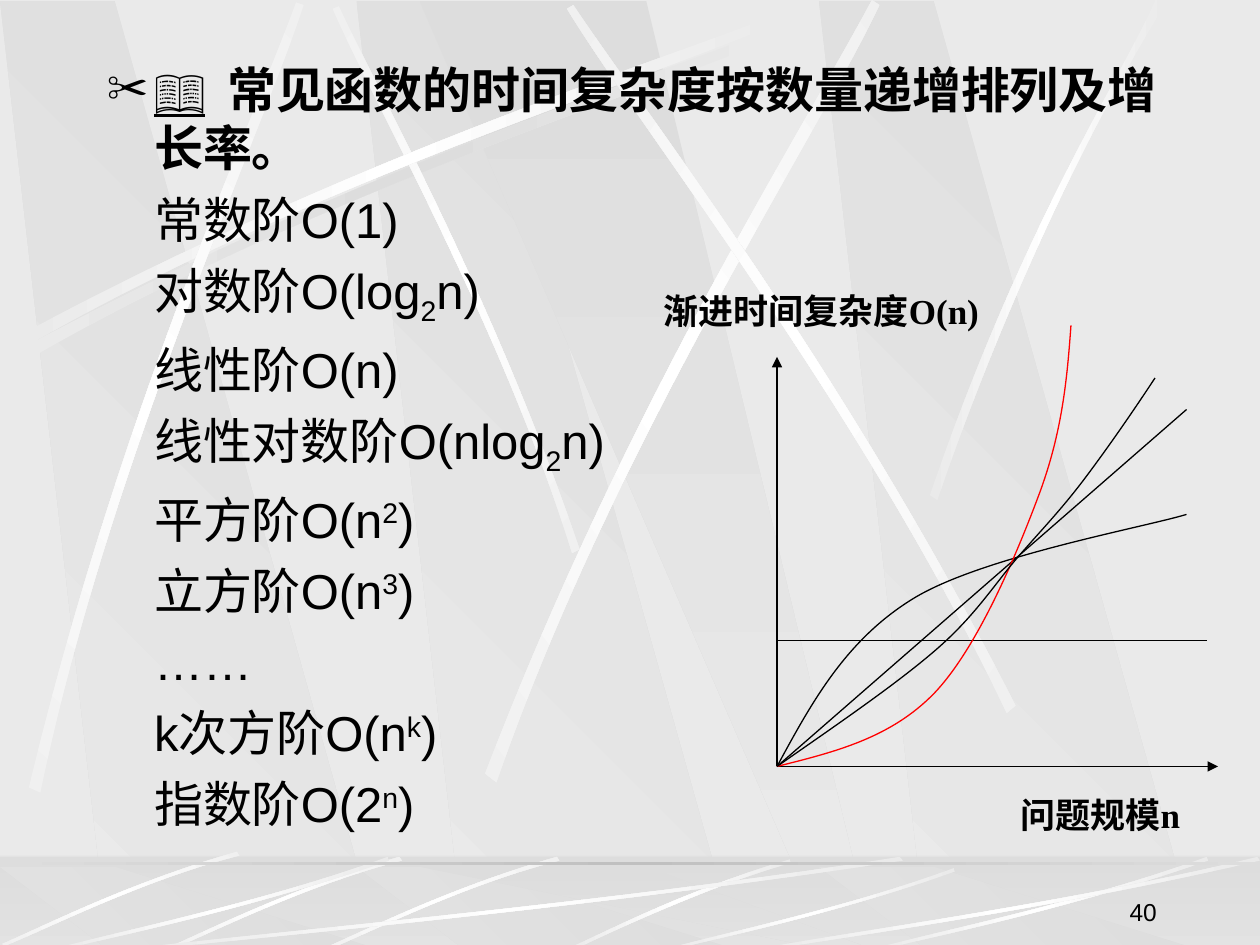
"""Build a slide on the growth rates of common time complexities."""
from math import cos, radians, sin

from lxml import etree
from pptx import Presentation, util as u
from pptx.dml.color import RGBColor
from pptx.enum import shapes, text
from pptx.oxml import ns

rgb = RGBColor.from_string
prs = Presentation()
prs.slide_width, prs.slide_height = u.Inches(10), u.Inches(7.5)
col, row = prs.slide_width / 100, prs.slide_height / 75
slide = prs.slides.add_slide(prs.slide_layouts[6])
slide.background.fill.solid()
slide.background.fill.fore_color.rgb = rgb("EAEAEA")


def outline(pts, kinds, rot=0):
    """Draw lines (L) and cubic curves (C) through points, closed by Z, in a turned frame."""
    c, n = cos(radians(rot)), sin(radians(rot))
    pts = [(x * col, y * row) for x, y in pts]
    pts = [(int(x * c + y * n), int(y * c - x * n)) for x, y in pts]
    fb = slide.shapes.build_freeform(*pts[0])
    fb.add_line_segments(pts[1:], close=kinds.endswith("Z"))
    s = fb.convert_to_shape()
    s.shadow.inherit = False
    steps = iter(list(s._element.iter(ns.qn("a:lnTo"))))
    for kind in kinds.rstrip("Z"):
        step = next(steps)
        if kind == "C":
            step.addprevious(cubic := etree.Element(ns.qn("a:cubicBezTo")))
            for ln in (step, next(steps), next(steps)):
                cubic.append(ln[0])
                ln.getparent().remove(ln)
    mx, my = s.left + s.width / 2, s.top + s.height / 2
    s.left = int(mx * c - my * n - s.width / 2)
    s.top = int(mx * n + my * c - s.height / 2)
    s.rotation = rot
    return s


def shade(s, colors, angle):
    """Fill a borderless shape with evenly spaced gradient colours."""
    s.shadow.inherit = False
    s.line.fill.background()
    s.fill.gradient()
    s.fill.gradient_angle = -angle % 360
    stops = s._element.spPr.find(ns.qn("a:gradFill")).find(ns.qn("a:gsLst"))
    for gs in list(stops):
        stops.remove(gs)
    for i, c in enumerate(colors):
        gs = etree.SubElement(stops, ns.qn("a:gs"), pos=str(i * 100000 // (len(colors) - 1)))
        etree.SubElement(gs, ns.qn("a:srgbClr"), val=c)


upper = [
    (0, [(2, 27.5), (28.4, 13.4), (52.4, 5.9), (62.6, 1.8), (62.9, 2.4), (52.8, 6.9), (25.4, 15.1), (2.3, 28.5)]),
    (45, [(46, 43.6), (39.1, 23.4), (30.2, 7.7), (26.9, 0.5), (26.4, 0.7), (29.5, 7.9), (39.8, 25.8), (45.4, 43.9)]),
    (0, [(1.4, 26.7), (27.8, 12.5), (51.8, 5.1), (62, 1), (62.3, 1.6), (52.2, 6.1), (24.8, 14.3), (1.7, 27.7)]),
    (311.7, [(2.3, 62.5), (9.3, 33.4), (19.7, 10.5), (23.5, 0.2), (24.1, 0.4), (20.7, 10.8), (8.6, 36.8), (3.2, 62.9)]),
    (321.6, [(38.5, 61.4), (49.8, 32), (63.8, 10.2), (69.2, 0), (69.8, 0.4), (64.9, 10.8), (48.6, 35.5), (39.4, 62.1)]),
    (34.8, [(80.6, 56), (67, 29.3), (51.6, 9.5), (45.5, 0.4), (45, 0.7), (50.7, 10.1), (68.5, 32.5), (79.9, 56.6)]),
    (0, [(73.8, 39.3), (81.4, 17.3), (88.8, 6.6), (91.7, 0), (92.7, 0), (83.6, 14.5), (76.9, 32.2), (74.4, 39.7)]),
]
lower = [(0, [(62.7, 68.2), (53.7, 70.9), (47.7, 74.2), (44.8, 75.4),
              (45.3, 75.5), (49, 73.7), (57.1, 70), (62.8, 68.5)])]
for x, y in ((25.6, 68), (13.1, 68), (0.2, 67.6)):
    lower.append((314.9, [(x + 18.6, y), (x + 9.9, y + 2.5), (x + 3.1, y + 6), (x, y + 7.3),
                          (x + 0.1, y + 7.5), (x + 3.2, y + 6.3), (x + 10.9, y + 2.3), (x + 18.8, y + 0.3)]))
for x, y, w, h in ((10, 68, 61.7, 7.5), (4.2, 68, 26.7, 7.5), (52.7, 68.9, 23.1, 6.6),
                   (69.2, 68, 26.7, 7.5), (60, 68, 40, 7.5)):
    shares = ((1, 0.04), (0.57, 0.57), (0.17, 0.85), (0.005, 1),
              (0, 0.98), (0.165, 0.81), (0.615, 0.5), (0.995, 0))
    lower.append((0, [(x + w * a, y + h * b) for a, b in shares]))

rect = shapes.MSO_SHAPE.RECTANGLE
for top, bottom, bands in ((0.1, 75.2, upper), (68.8, 75.4, lower)):
    if bands is lower:
        s = slide.shapes.add_shape(rect, 0, int(68 * row), int(100 * col), int(7.5 * row))
        shade(s, ["DDDDDD", "EAEAEA"], 90)
    for x in (28.3, 0, 65):
        s = outline([(x + 8.6, bottom), (x + 30.2, bottom), (x + 9.1, top), (x, top)], "LLLZ")
        shade(s, ["DDDDDD", "EAEAEA"], 135)
    s = outline([(33.3, top), (65.8, bottom), (69.4, bottom), (51.3, top)], "LLLZ")
    shade(s, ["DDDDDD", "EAEAEA"], 90)
    if bands is lower:
        s = slide.shapes.add_shape(rect, 0, int(67.9 * row), int(100 * col), int(7.5 * row))
        s.shadow.inherit = False
        s.line.fill.background()
        s.fill.solid()
        s.fill.fore_color.rgb = rgb("DDDDDD")
        clr = s._element.spPr.find(ns.qn("a:solidFill"))[0]
        etree.SubElement(clr, ns.qn("a:alpha"), val="50000")
    for i, (rot, pts) in enumerate(bands):
        s = outline(pts, "CLCZ", rot)
        mid = "DDDDDD" if bands is upper and i == 0 else "FFFFFF"
        shade(s, ["EAEAEA", mid, "EAEAEA"], 180)
s = slide.shapes.add_shape(rect, 0, int(68.4 * row), int(100 * col), int(0.24 * row))
shade(s, ["DDDDDD", "C0C0C0", "DDDDDD"], 180)

tf = slide.shapes.add_textbox(int(7.5 * col), int(4.2 * row), int(88.3 * col), int(66.7 * row)).text_frame
tf.word_wrap = True
lines = [
    ("📖", "  ", "常见函数的时间复杂度按数量递增排列及增长率。"),
    ("常数阶O(1)",), ("对数阶O(log", "2", "n)"), ("线性阶O(n)",), ("线性对数阶O(nlog", "2", "n)"),
    ("平方阶O(n", "2", ")"), ("立方阶O(n", "3", ")"), ("……",), ("k次方阶O(n", "k", ")"), ("指数阶O(2", "n", ")"),
]
for i, line in enumerate(lines):
    p = tf.add_paragraph() if i else tf.paragraphs[0]
    p.space_before = u.Pt(7)
    pPr = p._p.get_or_add_pPr()
    pPr.set("marL", str(u.Pt(27)))
    if i == 0:
        pPr.set("indent", str(-u.Pt(27)))
        etree.SubElement(pPr, ns.qn("a:buSzPct"), val="85000")
        etree.SubElement(pPr, ns.qn("a:buFont"), typeface="Times New Roman")
        etree.SubElement(pPr, ns.qn("a:buChar"), char="✂")
    for j, part in enumerate(line):
        r = p.add_run()
        r.text = part
        r.font.size, r.font.name = u.Pt(28), "Arial"
        r.font.color.rgb = rgb("000000")
        r.font.bold = i == 0 and j != 1
        r.font.underline = i == 0 and j == 0
        if i and j == 1:
            r.font._element.set("baseline", "-25000" if line[0].endswith("log") else "30000")

origin = (61.67, 60.83)
for start, end, arrow in (
    (origin, (96.67, 60.83), True), (origin, (61.67, 28.33), True),
    (origin, (94.17, 32.5), False), ((61.67, 50.83), (95.83, 50.83), False),
):
    s = slide.shapes.add_connector(shapes.MSO_CONNECTOR.STRAIGHT, int(start[0] * col), int(start[1] * row),
                                   int(end[0] * col), int(end[1] * row))
    s.line.color.rgb, s.line.width = rgb("000000"), u.Pt(0.75)
    if arrow:
        etree.SubElement(s.line._get_or_add_ln(), ns.qn("a:tailEnd"), type="triangle")
    etree.SubElement(s._element.spPr, ns.qn("a:effectLst"))

curves = [
    ("000000", [origin, (64.4, 55.8), (67.1, 50.8), (72.5, 47.5), (77.9, 44.2), (90.6, 41.9), (94.17, 40.83)]),
    ("FF0000", [origin, (66.2, 59.7), (70.7, 58.6), (74.17, 55), (77.6, 51.4), (80.7, 44),
                (82.5, 39.17), (84.3, 34.3), (84.7, 30.1), (85, 25.83)]),
    ("000000", [origin, (66.3, 57.6), (71, 54.4), (74.17, 51.67), (77.4, 48.9), (78.9, 46.4), (80.83, 44.17),
                (82.8, 41.9), (84, 40.7), (85.83, 38.33), (87.6, 36), (89.7, 33), (91.67, 30)]),
]
for color, pts in curves:
    s = outline(pts, "C" * (len(pts) // 3))
    s.fill.background()
    s.line.color.rgb, s.line.width = rgb(color), u.Pt(0.75)

labels = [
    ("问题规模n", 80, 62.5, 18.3, 4.4, 20, "Times New Roman"),
    ("渐进时间复杂度O(n)", 51.67, 22.5, 33.3, 4.4, 20, "Times New Roman"),
    ("40", 72, 69, 20.8, 5, 14, "Arial"),
]
for label, x, y, w, h, size, font in labels:
    tf = slide.shapes.add_textbox(int(x * col), int(y * row), int(w * col), int(h * row)).text_frame
    tf.word_wrap = True
    p = tf.paragraphs[0]
    r = p.add_run()
    r.text = label
    r.font.size, r.font.name, r.font.bold = u.Pt(size), font, size == 20
    r.font.color.rgb = rgb("000000")
    if size == 20:
        p.space_before = u.Pt(12.5)
    else:
        p.alignment = text.PP_ALIGN.RIGHT
        tf.vertical_anchor = text.MSO_ANCHOR.BOTTOM

prs.save("out.pptx")
